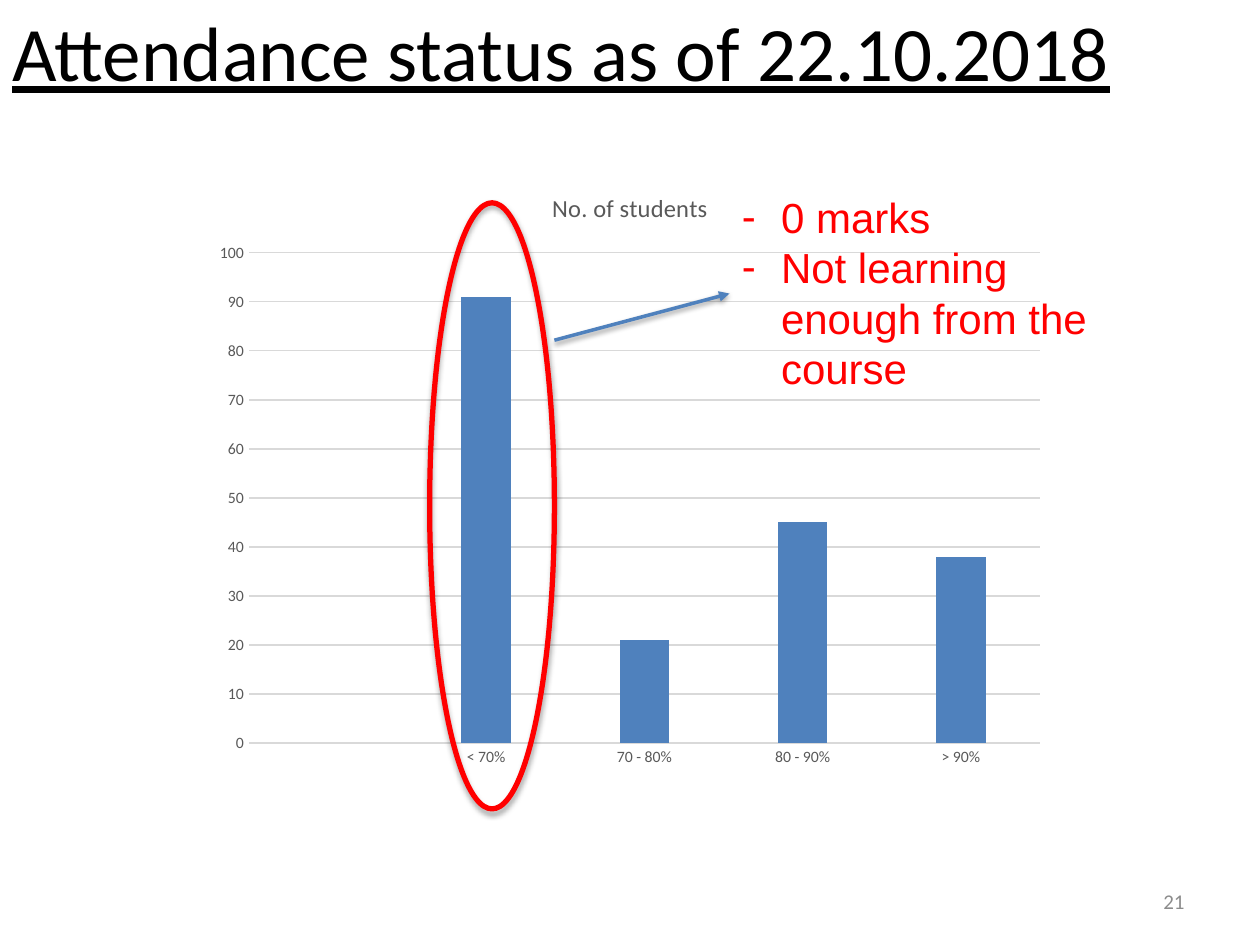
"""Builds the attendance status slide with an annotated column chart."""
import dataclasses

import pptx
import pptx.chart.data
import pptx.dml.color
import pptx.enum.chart
import pptx.enum.shapes
import pptx.enum.text
import pptx.oxml
import pptx.oxml.ns
import pptx.util

Inches = pptx.util.Inches
Pt = pptx.util.Pt


@dataclasses.dataclass(frozen=True)
class Theme:
    heading_font: str = "Calibri"
    note_font: str = "Arial"
    ink: str = "000000"
    alert: str = "FF0000"
    accent: str = "4F81BD"
    label: str = "595959"
    grid: str = "D9D9D9"
    muted: str = "8C8C8C"
    title_size: float = 44
    note_size: float = 24
    chart_title_size: float = 14
    chart_size: float = 10
    page_number_size: float = 12
    axis_size: float = 9


@dataclasses.dataclass(frozen=True)
class TextBlock:
    left: float
    top: float
    width: float
    height: float
    lines: tuple[str, ...]
    font: str
    size: float
    color: str
    underline: bool = False
    dashed: bool = False
    align: pptx.enum.text.PP_ALIGN = pptx.enum.text.PP_ALIGN.LEFT
    anchor: pptx.enum.text.MSO_ANCHOR = pptx.enum.text.MSO_ANCHOR.TOP


THEME = Theme()
TEXTS = (
    TextBlock(7.17, 6.95, 2.33, 0.4, ("21",), THEME.heading_font,
              THEME.page_number_size, THEME.muted,
              align=pptx.enum.text.PP_ALIGN.RIGHT,
              anchor=pptx.enum.text.MSO_ANCHOR.MIDDLE),
    TextBlock(0, -0.01, 10, 1.02, ("Attendance status as of 22.10.2018",),
              THEME.heading_font, THEME.title_size, THEME.ink, underline=True),
    TextBlock(5.79, 1.47, 3.08, 1.72,
              ("0 marks", "Not learning enough from the course"),
              THEME.note_font, THEME.note_size, THEME.alert, dashed=True),
)
ATTENDANCE = {"": None, "< 70%": 91, "70 - 80%": 21, "80 - 90%": 45, "> 90%": 38}
SERIES_NAME = "No. of students"


def rgb(color: str) -> pptx.dml.color.RGBColor:
    return pptx.dml.color.RGBColor.from_string(color)


def style_font(font, name: str, size: float, color: str) -> None:
    font.name = name
    font.size = Pt(size)
    font.bold = False
    font.color.rgb = rgb(color)


def style_line(line, color: str, width: float) -> None:
    line.color.rgb = rgb(color)
    line.width = Pt(width)


def element(tag: str, **attributes: str):
    node = pptx.oxml.parse_xml(f"<{tag} {pptx.oxml.ns.nsdecls('a')}/>")
    for name, value in attributes.items():
        node.set(name, value)
    return node


def add_shadow(shape, opacity: int, blur: float, distance: float) -> None:
    effects = element("a:effectLst")
    shadow = element("a:outerShdw", blurRad=str(Pt(blur)), dist=str(Pt(distance)),
                     dir="5400000", rotWithShape="0")
    color = element("a:srgbClr", val=THEME.ink)
    color.append(element("a:alpha", val=str(opacity * 1000)))
    shadow.append(color)
    effects.append(shadow)
    shape._element.spPr.append(effects)


def add_dash(para) -> None:
    properties = para._p.get_or_add_pPr()
    indent = Inches(0.31)
    properties.set("marL", str(indent))
    properties.set("indent", str(-indent))
    properties.append(element("a:buFont", typeface=THEME.note_font))
    properties.append(element("a:buChar", char="-"))


def add_text(page, block: TextBlock) -> None:
    box = page.shapes.add_textbox(Inches(block.left), Inches(block.top),
                                  Inches(block.width), Inches(block.height))
    frame = box.text_frame
    frame.word_wrap = True
    frame.vertical_anchor = block.anchor
    for index, line in enumerate(block.lines):
        para = frame.add_paragraph() if index else frame.paragraphs[0]
        para.alignment = block.align
        if block.dashed:
            add_dash(para)
        span = para.add_run()
        span.text = line
        style_font(span.font, block.font, block.size, block.color)
        if block.underline:
            span.font.underline = True


def add_attendance_chart(page) -> None:
    data = pptx.chart.data.CategoryChartData()
    data.categories = list(ATTENDANCE)
    data.add_series(SERIES_NAME, list(ATTENDANCE.values()))
    chart = page.shapes.add_chart(
        pptx.enum.chart.XL_CHART_TYPE.COLUMN_CLUSTERED,
        Inches(1.61), Inches(1.33), Inches(6.78), Inches(4.85), data).chart
    style_font(chart.font, THEME.heading_font, THEME.chart_size, THEME.ink)
    chart.has_legend = False
    chart.has_title = True
    chart.chart_title.include_in_layout = False
    span = chart.chart_title.text_frame.paragraphs[0].add_run()
    span.text = SERIES_NAME
    style_font(span.font, THEME.heading_font, THEME.chart_title_size, THEME.label)

    plot = chart.plots[0]
    plot.gap_width = 219
    plot.overlap = -27
    plot.vary_by_categories = False
    fill = plot.series[0].format.fill
    fill.solid()
    fill.fore_color.rgb = rgb(THEME.accent)

    for axis in (chart.category_axis, chart.value_axis):
        axis.major_tick_mark = pptx.enum.chart.XL_TICK_MARK.NONE
        axis.minor_tick_mark = pptx.enum.chart.XL_TICK_MARK.NONE
        style_font(axis.tick_labels.font, THEME.heading_font,
                   THEME.axis_size, THEME.label)
    style_line(chart.category_axis.format.line, THEME.grid, 0.75)
    values = chart.value_axis
    values.minimum_scale, values.maximum_scale, values.major_unit = 0, 100, 10
    values.format.line.fill.background()
    values.has_major_gridlines = True
    style_line(values.major_gridlines.format.line, THEME.grid, 0.75)


def add_highlight(page) -> None:
    ring = page.shapes.add_shape(pptx.enum.shapes.MSO_SHAPE.OVAL, Inches(3.41),
                                 Inches(1.61), Inches(0.99), Inches(4.81))
    ring.fill.background()
    style_line(ring.line, THEME.alert, 3)
    add_shadow(ring, 35, 3.1, 1.8)


def add_arrow(page) -> None:
    arrow = page.shapes.add_connector(
        pptx.enum.shapes.MSO_CONNECTOR.STRAIGHT,
        Inches(4.4), Inches(2.7), Inches(5.79), Inches(2.33))
    style_line(arrow.line, THEME.accent, 2)
    outline = arrow._element.spPr.find(pptx.oxml.ns.qn("a:ln"))
    outline.append(element("a:tailEnd", type="triangle"))
    add_shadow(arrow, 38, 3.1, 1.6)


def main() -> None:
    deck = pptx.Presentation()
    deck.slide_width, deck.slide_height = Inches(10), Inches(7.5)
    page = deck.slides.add_slide(deck.slide_layouts[6])
    page_number, title, note = TEXTS
    add_text(page, page_number)
    add_attendance_chart(page)
    add_text(page, title)
    add_highlight(page)
    add_arrow(page)
    add_text(page, note)
    deck.save("out.pptx")


if __name__ == "__main__":
    main()
